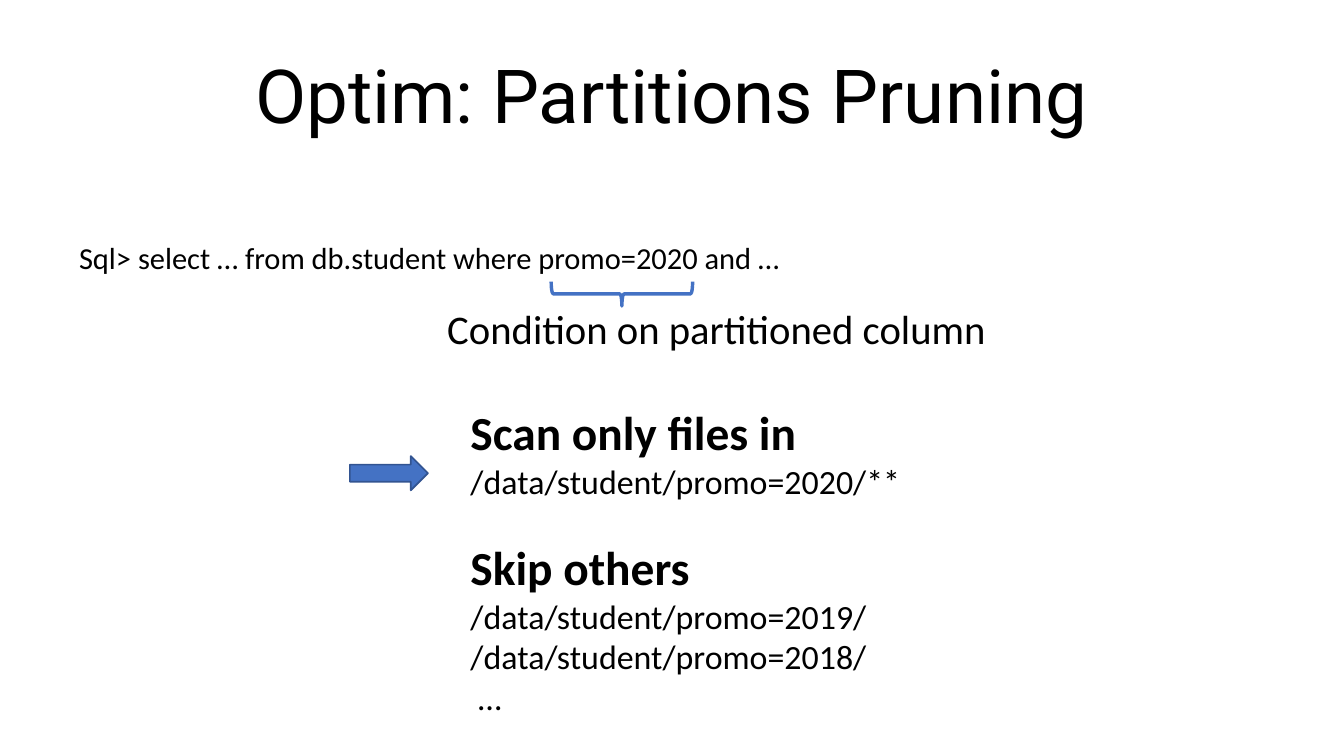
import pptx
import pptx.dml.color
import pptx.enum.shapes
import pptx.enum.text
import pptx.util

Pt = pptx.util.Pt
SHAPES = pptx.enum.shapes.MSO_SHAPE
COLORS = {"text": "000000", "accent": "4472C4", "outline": "325491"}


class SlideBuilder:
    """Holds the style and the current slide, and adds each kind of element."""

    def __init__(self, slide):
        self.slide = slide
        self.body_font = "Calibri"
        self.title_font = "Roboto"

    def color(self, name):
        return pptx.dml.color.RGBColor.from_string(COLORS[name])

    def format_runs(self, paragraph, size, font_name, bold=False):
        for run in paragraph.runs:
            run.font.size = Pt(size)
            run.font.name = font_name
            run.font.bold = bold
            run.font.color.rgb = self.color("text")

    def title(self, text, left, top, width, height):
        shape = self.slide.shapes.title
        shape.left, shape.top, shape.width, shape.height = map(Pt, (left, top, width, height))
        frame = shape.text_frame
        frame.text = text
        frame.auto_size = pptx.enum.text.MSO_AUTO_SIZE.NONE
        frame.vertical_anchor = pptx.enum.text.MSO_ANCHOR.MIDDLE
        frame.margin_left = frame.margin_top = frame.margin_right = frame.margin_bottom = 0
        paragraph = frame.paragraphs[0]
        paragraph.alignment = pptx.enum.text.PP_ALIGN.CENTER
        self.format_runs(paragraph, 44, self.title_font)

    def text(self, lines, left, top, width, height, wrap=False):
        frame = self.slide.shapes.add_textbox(*map(Pt, (left, top, width, height))).text_frame
        frame.word_wrap = wrap
        frame.text = "\n".join(text for text, size, bold, space in lines)
        for paragraph, (text, size, bold, space) in zip(frame.paragraphs, lines):
            paragraph.space_before = Pt(space)
            self.format_runs(paragraph, size, self.body_font, bold)

    def shape(self, kind, left, top, width, height, line, line_width, fill=None, rotation=0):
        shape = self.slide.shapes.add_shape(kind, *map(Pt, (left, top, width, height)))
        shape.shadow.inherit = False
        shape.rotation = rotation
        shape.line.color.rgb = self.color(line)
        shape.line.width = Pt(line_width)
        if fill:
            shape.fill.solid()
            shape.fill.fore_color.rgb = self.color(fill)
        else:
            shape.fill.background()


def main():
    presentation = pptx.Presentation()
    presentation.slide_width = Pt(793.5)
    presentation.slide_height = Pt(446.4)
    builder = SlideBuilder(presentation.slides.add_slide(presentation.slide_layouts[5]))

    builder.title("Optim: Partitions Pruning", 39.6, 18, 714.2, 74.9)
    query = "Sql> select … from db.student where promo=2020 and …"
    builder.text([(query, 18, False, 0)], 39.6, 137.5, 434.2, 28.8)
    builder.shape(SHAPES.LEFT_BRACE, 360, 131.8, 14.4, 83.5, "accent", 2, rotation=270)
    builder.text([("Condition on partitioned column", 24, False, 0)], 257, 175.7, 335.5, 36)
    builder.shape(SHAPES.RIGHT_ARROW, 206.6, 269.3, 46.1, 20.2, "outline", 1, fill="accent")

    scan_plan = [
        ("Scan only files in", 28, True, 0),
        ("/data/student/promo=2020/**", 20, False, 0),
        ("Skip others", 28, True, 22),
        ("/data/student/promo=2019/", 20, False, 0),
        ("/data/student/promo=2018/", 20, False, 0),
        (" …", 20, False, 0),
    ]
    builder.text(scan_plan, 270.7, 234.7, 270.7, 193.7, wrap=True)
    presentation.save("out.pptx")


if __name__ == "__main__":
    main()
